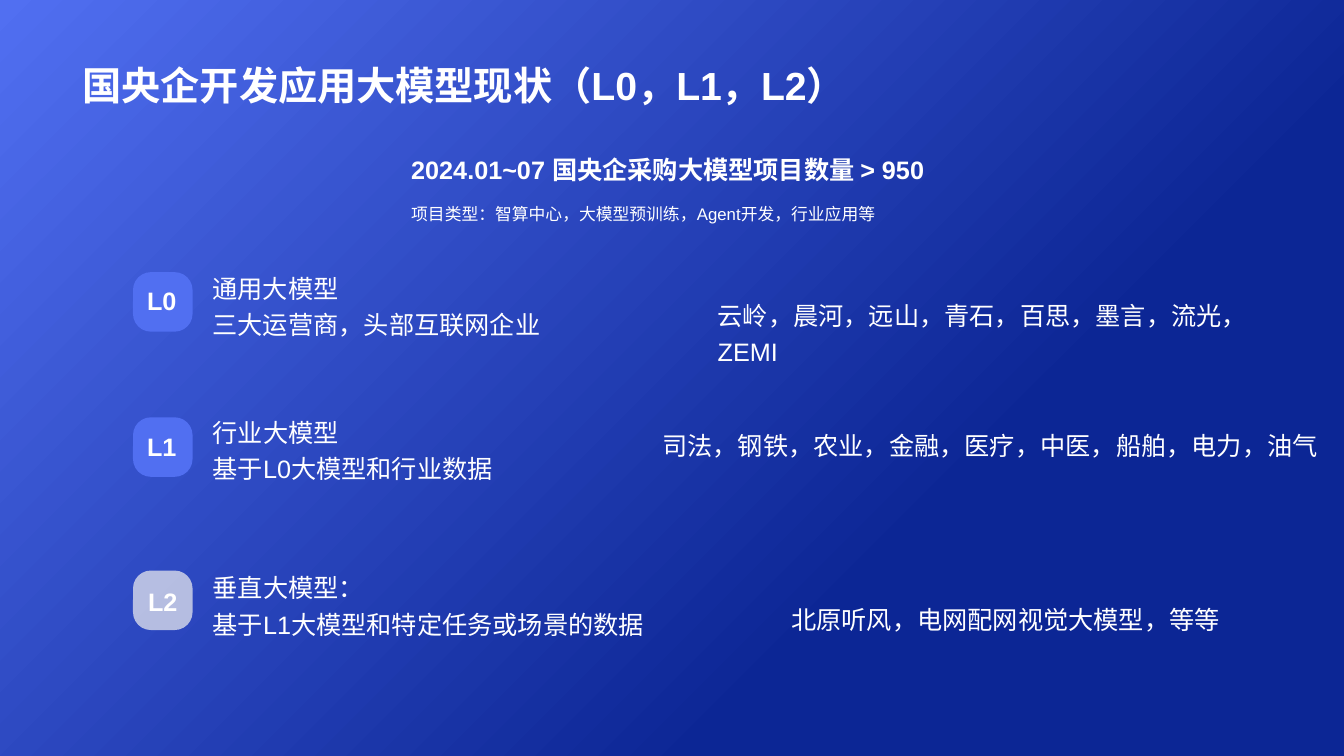
from dataclasses import dataclass

from lxml.etree import SubElement
from pptx import Presentation
from pptx.dml.color import RGBColor
from pptx.enum.shapes import MSO_SHAPE
from pptx.enum.text import MSO_ANCHOR
from pptx.oxml.ns import qn
from pptx.util import Inches, Pt


@dataclass
class Theme:
    font: str = "Arial"
    white: str = "FFFFFF"
    navy: str = "0C2695"
    blue: str = "516FF1"
    pale: str = "F0F0F0"
    title: int = 28
    body: int = 18
    small: int = 12


theme = Theme()
deck = Presentation()
deck.slide_width = Inches(13.33)
deck.slide_height = Inches(7.5)
slide = deck.slides.add_slide(deck.slide_layouts[6])


def place(left, top, width, height):
    wide, high = deck.slide_width / 100, deck.slide_height / 100
    return int(left * wide), int(top * high), int(width * wide), int(height * high)


def write(shapes, area, text, size, bold=False):
    box = shapes.add_textbox(*place(*area))
    frame = box.text_frame
    frame.word_wrap = True
    frame.text = text
    if bold:
        frame.vertical_anchor = MSO_ANCHOR.BOTTOM
    else:
        frame.margin_top = frame.margin_bottom = Inches(0.1)
    for para in frame.paragraphs:
        if not bold:
            para.line_spacing = 1.2
        for run in para.runs:
            run.font.name = theme.font
            run.font.size = Pt(size)
            run.font.bold = bold
            run.font.color.rgb = RGBColor.from_string(theme.white)


back = slide.background.fill
back.gradient()
back.gradient_angle = 135
for stop, (spot, color) in zip(back.gradient_stops, [(0.31, theme.navy), (1, theme.blue)]):
    stop.position = spot
    stop.color.rgb = RGBColor.from_string(color)

write(slide.shapes, (5.4, 1.87, 89.12, 13.07), "国央企开发应用大模型现状（L0，L1，L2）", theme.title, True)
write(slide.shapes, (29.86, 19.33, 49.66, 5.73), "2024.01~07 国央企采购大模型项目数量 > 950", theme.body, True)
write(slide.shapes, (29.86, 25.07, 53.11, 5.73), "项目类型：智算中心，大模型预训练，Agent开发，行业应用等", theme.small)

levels = [
    ("L0", 36, theme.blue, (10.2, 36.67),
     "通用大模型\n三大运营商，头部互联网企业", (34, 28.66, 11.2),
     "云岭，晨河，远山，青石，百思，墨言，流光，ZEMI", (52.66, 37.6, 45.09)),
    ("L1", 55.2, theme.blue, (10.2, 56),
     "行业大模型\n基于L0大模型和行业数据", (53.07, 40.36, 12.53),
     "司法，钢铁，农业，金融，医疗，中医，船舶，电力，油气", (48.54, 54.8, 50.71)),
    ("L2", 75.47, theme.pale, (10.28, 76.53),
     "垂直大模型：\n基于L1大模型和特定任务或场景的数据", (73.6, 60.84, 12.53),
     "北原听风，电网配网视觉大模型，等等", (58.14, 77.87, 39.01)),
]

for name, top, color, spot, about, (row, wide, high), cases, area in levels:
    group = slide.shapes.add_group_shape()
    badge = group.shapes.add_shape(MSO_SHAPE.ROUNDED_RECTANGLE, *place(9.9, top, 4.43, 7.87))
    badge.adjustments[0] = 0.3
    badge.shadow.inherit = False
    badge.line.fill.background()
    badge.fill.solid()
    badge.fill.fore_color.rgb = RGBColor.from_string(color)
    if color == theme.pale:
        tint = next(badge._element.spPr.iter(qn("a:srgbClr")))
        SubElement(tint, qn("a:alpha"), val="70000")
    write(group.shapes, (*spot, 3.83, 5.73), name, theme.body, True)
    write(slide.shapes, (15.08, row, wide, high), about, theme.body)
    write(slide.shapes, (*area, 8.67), cases, theme.body)

deck.save("out.pptx")
